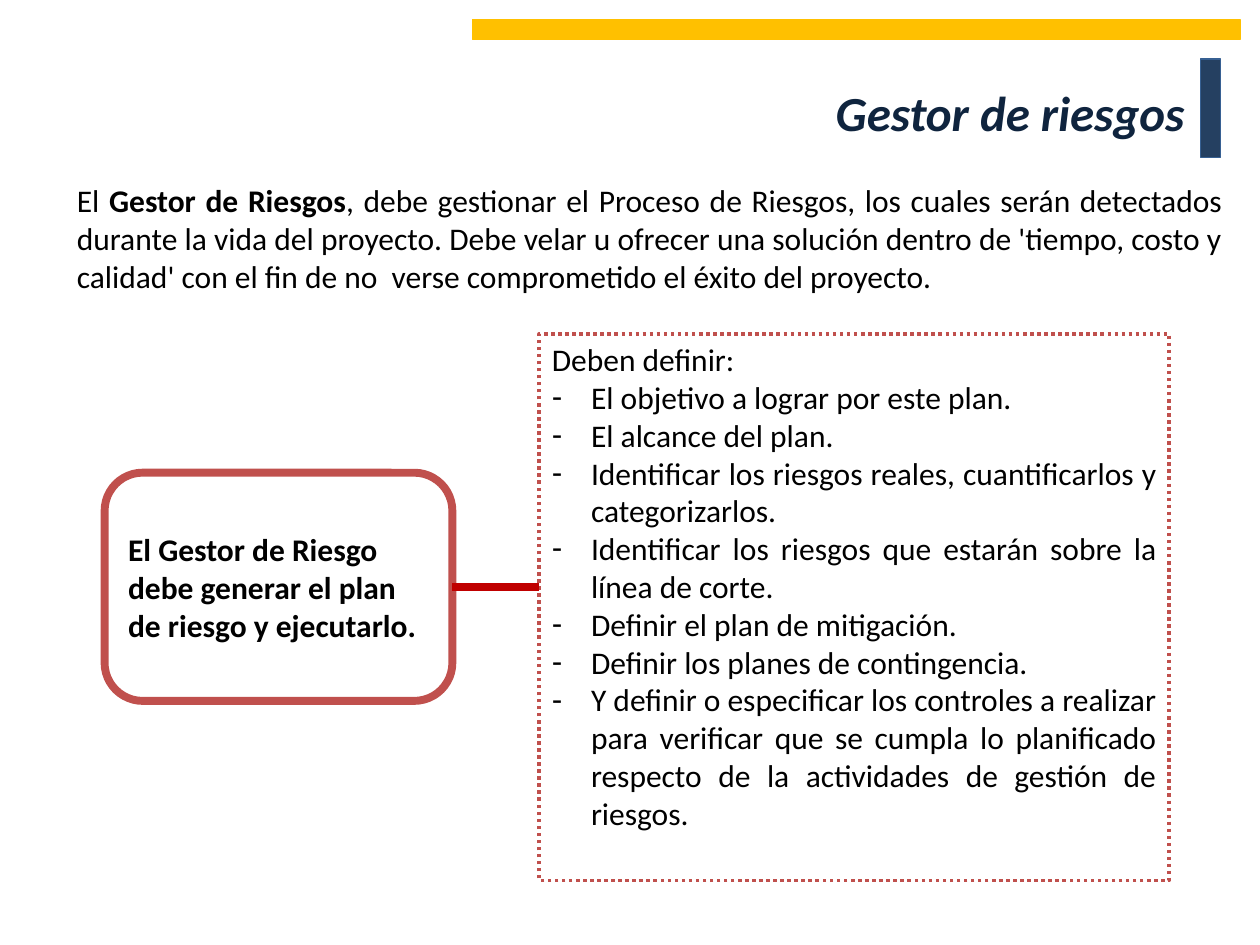
from dataclasses import dataclass

from lxml.etree import SubElement
from pptx import Presentation
from pptx.dml.color import RGBColor
from pptx.enum.dml import MSO_LINE
from pptx.enum.shapes import MSO_CONNECTOR, MSO_SHAPE
from pptx.enum.text import MSO_ANCHOR, MSO_AUTO_SIZE, PP_ALIGN
from pptx.oxml.ns import qn
from pptx.util import Cm, Pt


@dataclass(frozen=True)
class Theme:
    font: str = "Calibri"
    title_size: int = 28
    body_size: int = 18
    text: str = "000000"
    title: str = "0F243E"
    paper: str = "FFFFFF"
    navy: str = "254061"
    navy_edge: str = "376092"
    gold: str = "FFC000"
    red: str = "C0504D"
    dark_red: str = "C00000"


THEME = Theme()
RIGHT_SIDE = 3

INTRODUCTION = [
    ("El ", False),
    ("Gestor de Riesgos", True),
    (", debe gestionar el Proceso de Riesgos, los cuales serán detectados durante "
     "la vida del proyecto. Debe velar u ofrecer una solución dentro de 'tiempo, "
     "costo y calidad' con el fin de no  verse comprometido el éxito del proyecto. ", False),
]
PLAN = "El Gestor de Riesgo debe generar el plan de riesgo y ejecutarlo."
DEFINITIONS_HEADING = "Deben definir:"
DEFINITIONS = [
    "El objetivo a lograr por este plan.",
    "El alcance del plan.",
    "Identificar los riesgos reales, cuantificarlos y categorizarlos.",
    "Identificar los riesgos que estarán sobre la línea de corte.",
    "Definir el plan de mitigación. ",
    "Definir los planes de contingencia.",
    "Y definir o especificar los controles a realizar para verificar que se cumpla "
    "lo planificado respecto de la actividades de gestión de riesgos.",
]


def color(value):
    return RGBColor.from_string(value)


def place(shape, left, top, width, height):
    shape.left, shape.top = Cm(left), Cm(top)
    shape.width, shape.height = Cm(width), Cm(height)


def paint(shape, fill, line, line_width):
    shape.fill.solid()
    shape.fill.fore_color.rgb = color(fill)
    shape.line.color.rgb = color(line)
    shape.line.width = Pt(line_width)


def add_box(slide, kind, box, fill, line, line_width):
    shape = slide.shapes.add_shape(kind, *map(Cm, box))
    shape.shadow.inherit = False
    paint(shape, fill, line, line_width)
    return shape


def style(paragraph, size=THEME.body_size, ink=THEME.text, bold=None, italic=None,
          align=PP_ALIGN.LEFT, after=0):
    paragraph.alignment = align
    paragraph.space_before = Pt(0)
    paragraph.space_after = Pt(after)
    font = paragraph.font
    font.name, font.size, font.bold, font.italic = THEME.font, Pt(size), bold, italic
    font.color.rgb = color(ink)


def set_bullet(paragraph, character=None, indent=0):
    properties = paragraph._p.get_or_add_pPr()
    properties.set("marL", str(Cm(indent)))
    properties.set("indent", str(-Cm(indent)))
    if character:
        SubElement(properties, qn("a:buFontTx"))
        SubElement(properties, qn("a:buChar")).set("char", character)
    else:
        SubElement(properties, qn("a:buNone"))


def fill_title(title):
    place(title, 10.31, 0.97, 13.82, 2.57)
    frame = title.text_frame
    frame.auto_size = MSO_AUTO_SIZE.NONE
    frame.vertical_anchor = MSO_ANCHOR.MIDDLE
    frame.text = "Gestor de riesgos"
    style(frame.paragraphs[0], THEME.title_size, THEME.title, True, True, PP_ALIGN.RIGHT)


def fill_definitions(body):
    place(body, 10.87, 6.73, 12.7, 11.02)
    paint(body, THEME.paper, THEME.red, 2)
    body.line.dash_style = MSO_LINE.ROUND_DOT
    frame = body.text_frame
    frame.auto_size = MSO_AUTO_SIZE.NONE
    heading = frame.paragraphs[0]
    heading.text = DEFINITIONS_HEADING
    set_bullet(heading)
    style(heading)
    for definition in DEFINITIONS:
        paragraph = frame.add_paragraph()
        paragraph.text = definition
        set_bullet(paragraph, "-", 0.79)
        style(paragraph, align=PP_ALIGN.JUSTIFY)


def add_introduction(slide):
    frame = slide.shapes.add_textbox(Cm(1.3), Cm(3.53), Cm(23.6), Cm(2.57)).text_frame
    frame.word_wrap = True
    paragraph = frame.paragraphs[0]
    for text, bold in INTRODUCTION:
        run = paragraph.add_run()
        run.text, run.font.bold = text, bold
    style(paragraph, align=PP_ALIGN.JUSTIFY, after=12)


def add_plan(slide):
    shape = add_box(slide, MSO_SHAPE.ROUNDED_RECTANGLE, (2.11, 9.53, 7.01, 4.6),
                    THEME.paper, THEME.red, 4.5)
    frame = shape.text_frame
    frame.word_wrap = True
    frame.vertical_anchor = MSO_ANCHOR.MIDDLE
    frame.text = PLAN
    style(frame.paragraphs[0], bold=True, after=12)
    return shape


def add_link(slide, source, target):
    middle = source.top + source.height // 2
    connector = slide.shapes.add_connector(
        MSO_CONNECTOR.STRAIGHT, source.left + source.width, middle, target.left, middle)
    connector.begin_connect(source, RIGHT_SIDE)
    connector.line.color.rgb = color(THEME.dark_red)
    connector.line.width = Pt(4.5)
    SubElement(connector._element.spPr, qn("a:effectLst"))


def main():
    presentation = Presentation()
    presentation.slide_width, presentation.slide_height = Cm(25.4), Cm(19.05)
    slide = presentation.slides.add_slide(presentation.slide_layouts[1])
    title, body = slide.placeholders
    add_box(slide, MSO_SHAPE.RECTANGLE, (24.2, 1.19, 0.41, 1.98),
            THEME.navy, THEME.navy_edge, 0.75)
    add_box(slide, MSO_SHAPE.RECTANGLE, (9.53, 0.4, 15.47, 0.4),
            THEME.gold, THEME.gold, 0.75)
    fill_title(title)
    add_introduction(slide)
    plan = add_plan(slide)
    fill_definitions(body)
    add_link(slide, plan, body)
    presentation.save("out.pptx")


if __name__ == "__main__":
    main()
